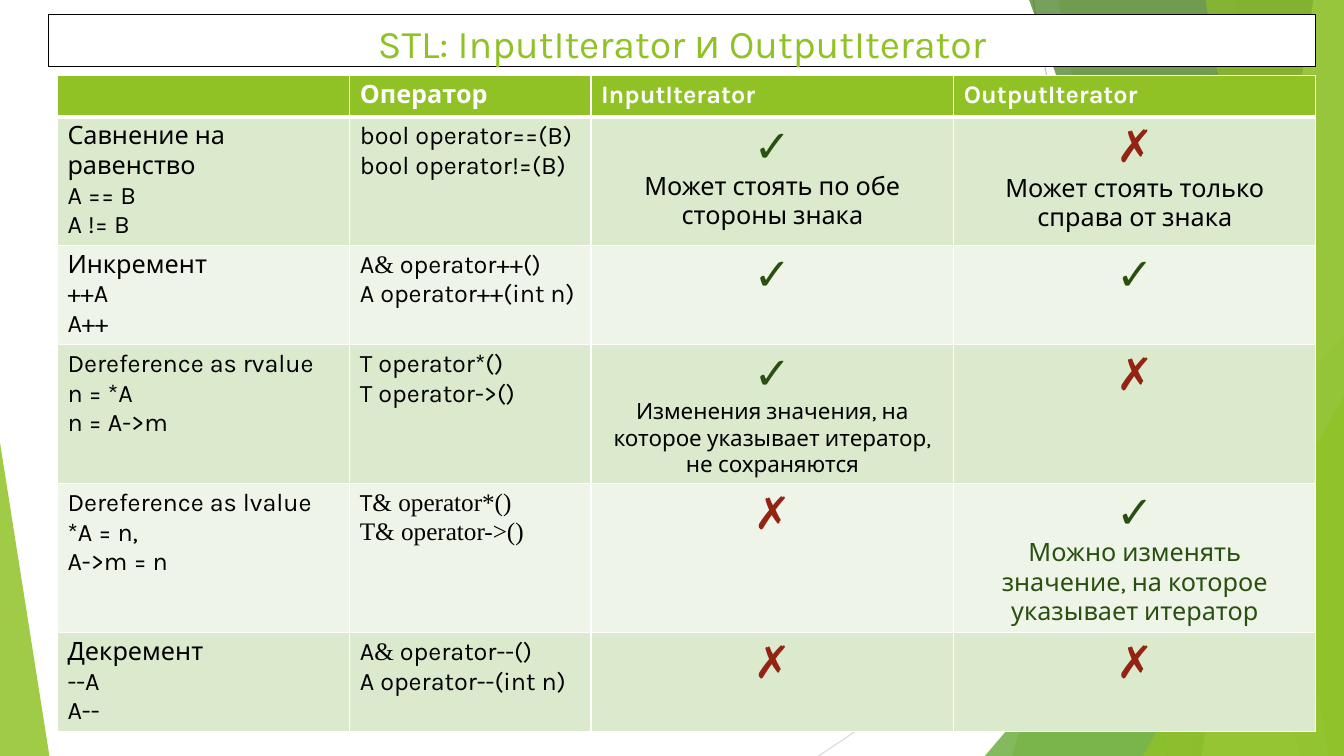
"""Build a slide comparing the InputIterator and OutputIterator operators."""
from dataclasses import dataclass

from lxml import etree
from pptx import Presentation
from pptx.dml.color import RGBColor
from pptx.enum.shapes import MSO_CONNECTOR, MSO_SHAPE
from pptx.enum.text import MSO_ANCHOR, PP_ALIGN
from pptx.oxml.ns import qn
from pptx.util import Pt

STRAIGHT = MSO_CONNECTOR.STRAIGHT
TRIANGLE = MSO_SHAPE.ISOSCELES_TRIANGLE
RECTANGLE = MSO_SHAPE.RECTANGLE
TOP = MSO_ANCHOR.TOP
LEFT, CENTER = PP_ALIGN.LEFT, PP_ALIGN.CENTER

WHITE = RGBColor(0xFF, 0xFF, 0xFF)
BLACK = RGBColor(0x00, 0x00, 0x00)
GREEN = RGBColor(0x90, 0xC2, 0x26)
MID_GREEN = RGBColor(0x54, 0xA0, 0x21)
DEEP_GREEN = RGBColor(0x3F, 0x78, 0x19)
PALE_GREEN = RGBColor(0xC0, 0xE4, 0x74)
YES_GREEN = RGBColor(0x2A, 0x50, 0x10)
NO_RED = RGBColor(0x93, 0x23, 0x13)
ROW_DARK = RGBColor(0xDB, 0xE9, 0xCD)
ROW_LIGHT = RGBColor(0xEE, 0xF4, 0xE8)
GRAY = RGBColor(0xBF, 0xBF, 0xBF)
LIGHT_GRAY = RGBColor(0xD9, 0xD9, 0xD9)

KARLA, ARIAL, TIMES = "Karla", "Arial", "Times New Roman"
PAGE_WIDTH, PAGE_HEIGHT = 960, 540
NO_STYLE = "{2D5ABB26-0587-4C30-8999-92F81FD0307C}"
COLUMN_WIDTHS = (208.8, 172.3, 259.2, 258.6)
ROW_HEIGHTS = (29.4, 91.4, 70.8, 99.3, 105.8, 70.8)


@dataclass(frozen=True)
class Ray:
    start: tuple[float, float]
    end: tuple[float, float]
    color: RGBColor


@dataclass(frozen=True)
class Band:
    top_x: float
    bottom_x: float
    color: RGBColor
    opacity: int


@dataclass(frozen=True)
class Wedge:
    left: float
    top: float
    width: float
    apex: float
    color: RGBColor
    opacity: int


@dataclass(frozen=True)
class Span:
    text: str
    font: str = KARLA


@dataclass(frozen=True)
class Line:
    spans: tuple[Span, ...]
    size: float = 18
    color: RGBColor = BLACK
    align: PP_ALIGN = LEFT
    bold: bool = False


RAYS = (
    Ray((738, 0), (833.76, PAGE_HEIGHT), GRAY),
    Ray((PAGE_WIDTH, 290.16), (584.64, PAGE_HEIGHT), LIGHT_GRAY),
)
FACETS = (
    Band(884.16, 722.88, GREEN, 30),
    Band(756, 851.76, GREEN, 20),
    Wedge(703.44, 239.76, 256.56, 1, MID_GREEN, 72),
    Band(735.12, 929.52, DEEP_GREEN, 70),
    Band(938.16, 858.24, PALE_GREEN, 70),
    Band(861.12, 948.96, GREEN, 65),
    Wedge(816.48, 282.96, 143.52, 1, GREEN, 80),
    Wedge(0, 316.08, 35.28, 0, GREEN, 85),
)


def plain(*texts: str, font: str = KARLA) -> list[Line]:
    return [Line((Span(text, font),)) for text in texts]


def head(text: str) -> list[Line]:
    return [Line((Span(text),), color=WHITE, bold=True)]


def note(text: str, size: float = 18, color: RGBColor = BLACK) -> list[Line]:
    return [Line((Span(text),), size, color, CENTER)]


def reference(sign: str) -> list[Line]:
    first = Line((Span("A"), Span("&", TIMES), Span(f" operator{sign}()")))
    return [first] + plain(f"A operator{sign}(int n)")


YES = [Line((Span("✓", ARIAL),), 32, YES_GREEN, CENTER)]
NO = [Line((Span("✗"),), 32, NO_RED, CENTER)]

ROWS = (
    ([], head("Оператор"), head("InputIterator"), head("OutputIterator")),
    (plain("Савнение на равенство", "A == B", "A != B"),
     plain("bool operator==(B)", "bool operator!=(B)"),
     YES + note("Может стоять по обе стороны знака"),
     NO + note("Может стоять только справа от знака")),
    (plain("Инкремент", "++A", "A++"), reference("++"), YES, YES),
    (plain("Dereference as rvalue", "n = *A", "n = A->m"),
     plain("T operator*()", "T operator->()"),
     YES + note("Изменения значения, на которое указывает итератор, не сохраняются", 16),
     NO),
    (plain("Dereference as lvalue", "*A = n,", "A->m = n"),
     [Line((Span("T"), Span("& operator*()", TIMES)))] + plain("T& operator->()", font=TIMES),
     NO,
     YES + note("Можно изменять значение, на которое указывает итератор", color=YES_GREEN)),
    (plain("Декремент", "--A", "A--"), reference("--"), NO, NO),
)


def draw_ray(page, ray: Ray) -> None:
    points = [Pt(value) for value in ray.start + ray.end]
    connector = page.shapes.add_connector(STRAIGHT, *points)
    connector.line.color.rgb = ray.color
    connector.line.width = Pt(0.75)
    etree.SubElement(connector._element.spPr, qn("a:effectLst"))


def draw_facet(page, facet: Band | Wedge) -> None:
    if isinstance(facet, Band):
        corners = ((PAGE_WIDTH, 0), (PAGE_WIDTH, PAGE_HEIGHT), (facet.bottom_x, PAGE_HEIGHT))
        builder = page.shapes.build_freeform(Pt(facet.top_x), 0)
        builder.add_line_segments([(Pt(x), Pt(y)) for x, y in corners])
        shape = builder.convert_to_shape()
    else:
        shape = page.shapes.add_shape(TRIANGLE, Pt(facet.left), Pt(facet.top),
                                      Pt(facet.width), Pt(PAGE_HEIGHT - facet.top))
        shape.adjustments[0] = facet.apex
    shape.shadow.inherit = False
    shape.line.fill.background()
    shape.fill.solid()
    shape.fill.fore_color.rgb = facet.color
    color = shape._element.spPr.find(f"{qn('a:solidFill')}/{qn('a:srgbClr')}")
    etree.SubElement(color, qn("a:alpha"), val=str(facet.opacity * 1000))


def write_lines(frame, lines: list[Line]) -> None:
    for index, line in enumerate(lines):
        para = frame.add_paragraph() if index else frame.paragraphs[0]
        para.alignment = line.align
        para.font.size = Pt(line.size)
        para.font.bold = line.bold
        para.font.color.rgb = line.color
        shared = len({span.font for span in line.spans}) == 1
        if shared:
            para.font.name = line.spans[0].font
        for span in line.spans:
            run = para.add_run()
            run.text = span.text
            if not shared:
                run.font.name = span.font


def draw_title(page) -> None:
    box = page.shapes.add_shape(RECTANGLE, Pt(34.56), Pt(10.08), Pt(905.04), Pt(37.44))
    box.shadow.inherit = False
    box.fill.solid()
    box.fill.fore_color.rgb = WHITE
    box.line.color.rgb = BLACK
    box.line.width = Pt(0.75)
    box.text_frame.word_wrap = True
    box.text_frame.vertical_anchor = TOP
    write_lines(box.text_frame, note("STL: InputIterator и OutputIterator", 28, GREEN))


def add_borders(cell, row_index: int) -> None:
    properties = cell._tc.get_or_add_tcPr()
    widths = {"lnL": 1, "lnR": 1, "lnT": 3 if row_index == 1 else 1,
              "lnB": 3 if row_index == 0 else 1}
    for position, (side, width) in enumerate(widths.items()):
        border = etree.Element(qn(f"a:{side}"), w=str(Pt(width)))
        fill = etree.SubElement(border, qn("a:solidFill"))
        etree.SubElement(fill, qn("a:srgbClr"), val=str(WHITE))
        properties.insert(position, border)


def draw_table(page) -> None:
    frame = page.shapes.add_table(len(ROWS), len(COLUMN_WIDTHS), Pt(41.04), Pt(54),
                                  Pt(sum(COLUMN_WIDTHS)), Pt(sum(ROW_HEIGHTS)))
    table = frame.table
    table._tbl.tblPr.find(qn("a:tableStyleId")).text = NO_STYLE
    for column, width in zip(table.columns, COLUMN_WIDTHS):
        column.width = Pt(width)
    for row_index, (row, height) in enumerate(zip(table.rows, ROW_HEIGHTS)):
        row.height = Pt(height)
        band = ROW_DARK if row_index % 2 else ROW_LIGHT
        for cell, lines in zip(row.cells, ROWS[row_index]):
            cell.fill.solid()
            cell.fill.fore_color.rgb = band if row_index else GREEN
            add_borders(cell, row_index)
            write_lines(cell.text_frame, lines)


def main() -> None:
    deck = Presentation()
    deck.slide_width, deck.slide_height = Pt(PAGE_WIDTH), Pt(PAGE_HEIGHT)
    page = deck.slides.add_slide(deck.slide_layouts[6])
    for ray in RAYS:
        draw_ray(page, ray)
    for facet in FACETS:
        draw_facet(page, facet)
    draw_title(page)
    draw_table(page)
    deck.save("out.pptx")


if __name__ == "__main__":
    main()
